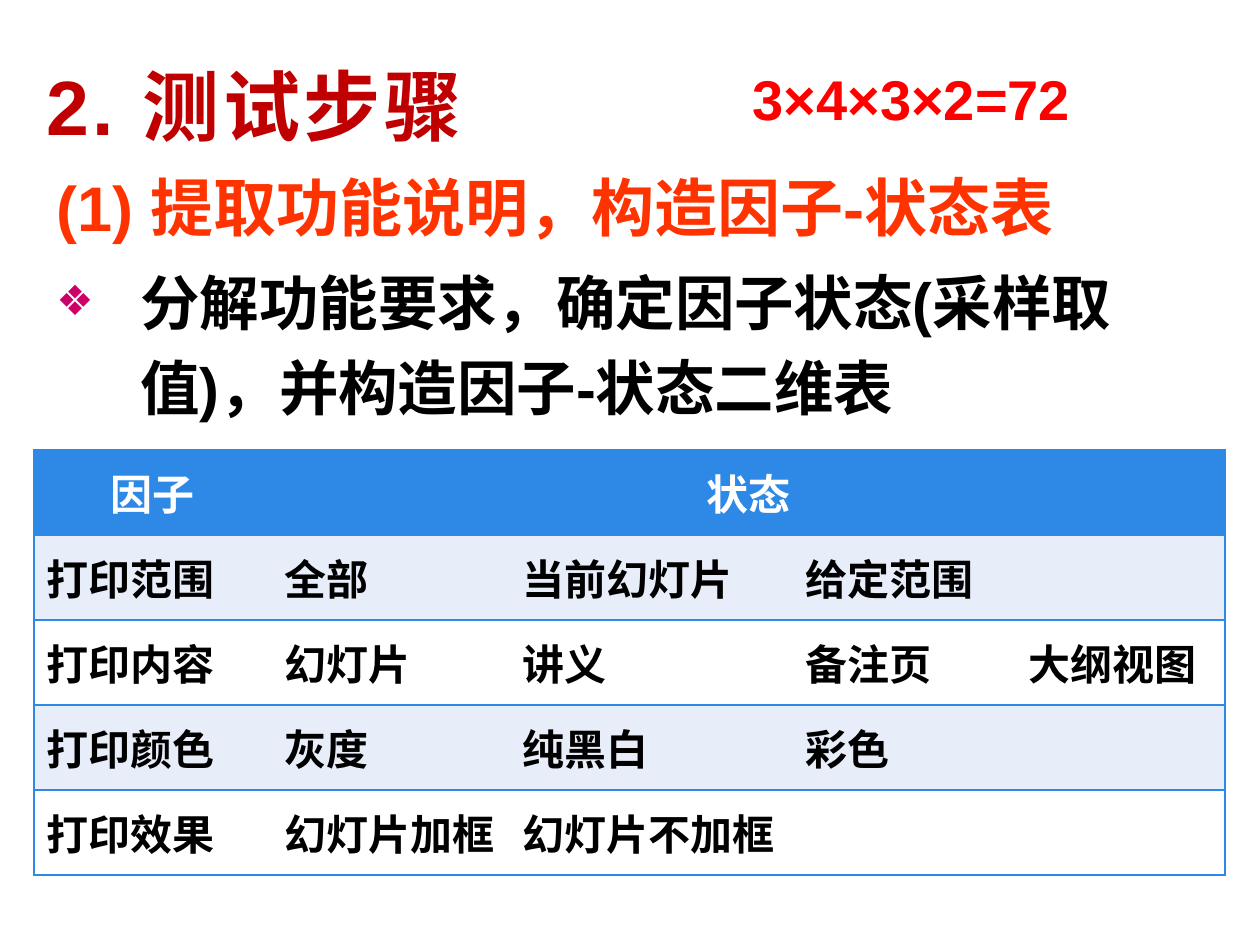
from dataclasses import dataclass

from lxml.etree import SubElement
from pptx import Presentation
from pptx.dml.color import RGBColor
from pptx.enum.text import MSO_ANCHOR, PP_ALIGN
from pptx.oxml.ns import qn
from pptx.util import Emu, Pt


@dataclass(frozen=True)
class Theme:
    font: str = "Arial"
    title: str = "C00000"
    head: str = "FF3300"
    sum: str = "FF0000"
    ink: str = "000000"
    white: str = "FFFFFF"
    blue: str = "2D89E5"
    band: str = "E8EDFA"
    mark: str = "CC0066"
    title_size: int = 44
    head_size: int = 36
    body_size: int = 34
    sum_size: int = 32
    cell_size: int = 24


@dataclass(frozen=True)
class Line:
    text: str
    size: int
    color: str
    space: float = 1.0
    gap: int = 0
    track: int = 0
    mark: str = ""


@dataclass(frozen=True)
class Box:
    left: int
    top: int
    width: int
    height: int
    lines: tuple[Line, ...]
    anchor: MSO_ANCHOR = MSO_ANCHOR.TOP


THEME = Theme()
BOXES = (
    Box(44, 155, 1143, 745, (
        Line("(1) 提取功能说明，构造因子-状态表", THEME.head_size, THEME.head, 1.1, 2),
        Line("分解功能要求，确定因子状态(采样取值)，并构造因子-状态二维表",
             THEME.body_size, THEME.ink, 1.2, 2, mark="❖"),
    )),
    Box(34, 26, 1177, 158,
        (Line("2. 测试步骤", THEME.title_size, THEME.title, track=200),),
        MSO_ANCHOR.MIDDLE),
    Box(740, 58, 416, 81,
        (Line("3×4×3×2=72", THEME.sum_size, THEME.sum),)),
)
ROWS = (
    ("因子", "状态"),
    ("打印范围", "全部", "当前幻灯片", "给定范围"),
    ("打印内容", "幻灯片", "讲义", "备注页", "大纲视图"),
    ("打印颜色", "灰度", "纯黑白", "彩色"),
    ("打印效果", "幻灯片加框", "幻灯片不加框"),
)
COLS = (238, 238, 283, 223, 209)
ROW = 85


def px(size: int) -> Emu:
    return Emu(round(size * 914400 / 126))


def style(para, size: int, color: str) -> None:
    for run in para.runs:
        run.font.name = THEME.font
        run.font.size = Pt(size)
        run.font.bold = True
        run.font.color.rgb = RGBColor.from_string(color)


def bullet(para, mark: str) -> None:
    props = para._p.get_or_add_pPr()
    props.set("marL", str(px(84)))
    props.set("indent", str(-px(84)))
    tint = SubElement(props, qn("a:buClr"))
    SubElement(tint, qn("a:srgbClr"), val=THEME.mark)
    SubElement(props, qn("a:buSzPct"), val="70000")
    SubElement(props, qn("a:buFont"), typeface=THEME.font)
    SubElement(props, qn("a:buChar"), char=mark)


def draw_box(slide, box: Box) -> None:
    shape = slide.shapes.add_textbox(
        px(box.left), px(box.top), px(box.width), px(box.height))
    frame = shape.text_frame
    frame.word_wrap = True
    frame.vertical_anchor = box.anchor
    frame.text = "\n".join(line.text for line in box.lines)
    for para, line in zip(frame.paragraphs, box.lines):
        style(para, line.size, line.color)
        para.line_spacing = line.space
        para.space_before = para.space_after = Pt(line.gap)
        if line.track:
            for run in para.runs:
                run.font._element.set("spc", str(line.track))
        if line.mark:
            bullet(para, line.mark)


def border(cell, sides: str) -> None:
    props = cell._tc.get_or_add_tcPr()
    for side in "LRTB":
        edge = SubElement(props, qn(f"a:ln{side}"), w=str(Pt(1)))
        if side in sides:
            fill = SubElement(edge, qn("a:solidFill"))
            SubElement(fill, qn("a:srgbClr"), val=THEME.blue)
        else:
            SubElement(edge, qn("a:noFill"))


def draw_cell(cell, text: str, row: int, col: int) -> None:
    head = row == 0
    last = len(COLS) - 1
    sides = "TB"
    if col == 0:
        sides += "L"
    if col == last or head and col == 1:
        sides += "R"
    border(cell, sides)
    shade = THEME.blue if head else THEME.band if row % 2 else THEME.white
    cell.fill.solid()
    cell.fill.fore_color.rgb = RGBColor.from_string(shade)
    cell.vertical_anchor = MSO_ANCHOR.MIDDLE
    if text:
        cell.text_frame.text = text
        para = cell.text_frame.paragraphs[0]
        para.alignment = PP_ALIGN.CENTER if head else PP_ALIGN.LEFT
        style(para, THEME.cell_size, THEME.white if head else THEME.ink)


def draw_table(slide) -> None:
    table = slide.shapes.add_table(
        len(ROWS), len(COLS), px(34), px(450),
        px(sum(COLS)), px(ROW * len(ROWS))).table
    table.first_row = table.horz_banding = False
    for col, width in zip(table.columns, COLS):
        col.width = px(width)
    for row in table.rows:
        row.height = px(ROW)
    table.cell(0, 1).merge(table.cell(0, len(COLS) - 1))
    for row, texts in enumerate(ROWS):
        for col in range(len(COLS)):
            text = texts[col] if col < len(texts) else ""
            draw_cell(table.cell(row, col), text, row, col)


def main() -> None:
    deck = Presentation()
    deck.slide_width, deck.slide_height = px(1260), px(945)
    slide = deck.slides.add_slide(deck.slide_layouts[6])
    body, title, total = BOXES
    draw_box(slide, body)
    draw_box(slide, title)
    draw_table(slide)
    draw_box(slide, total)
    deck.save("out.pptx")


if __name__ == "__main__":
    main()
